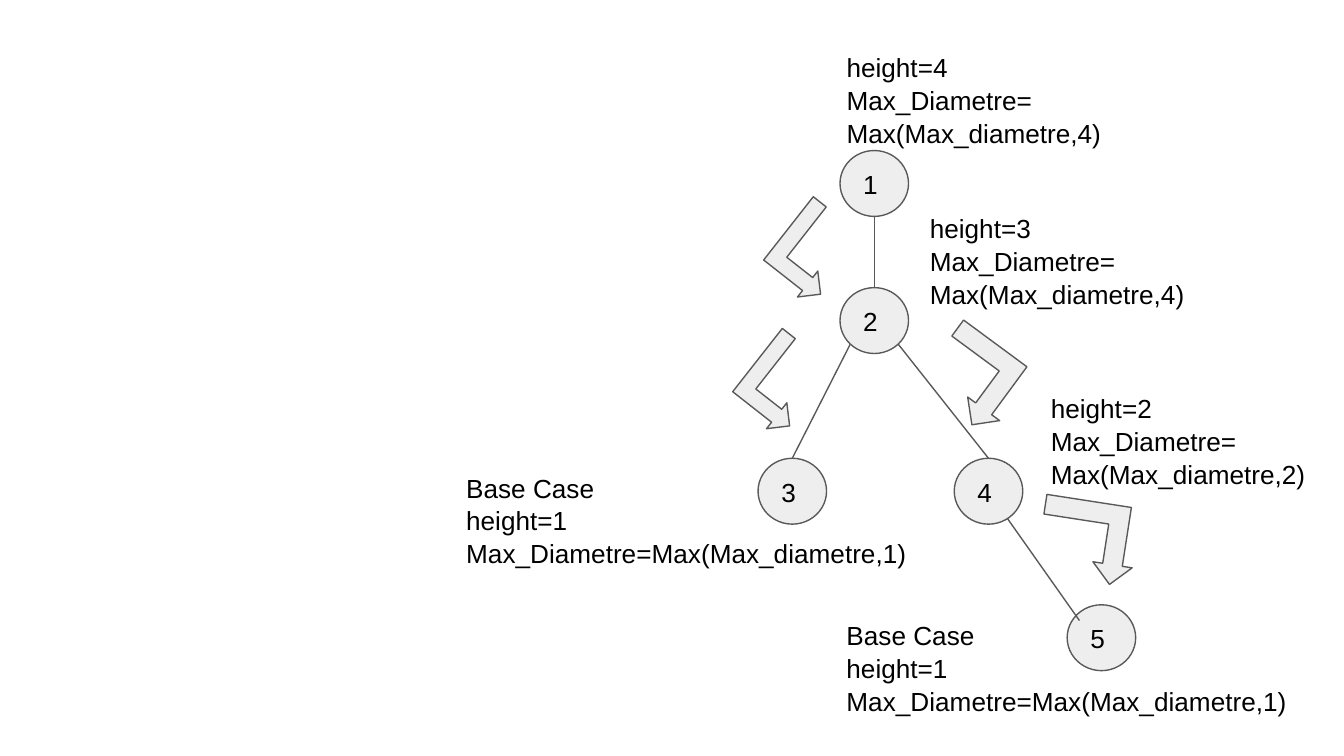
from pptx import Presentation
from pptx.dml.color import RGBColor
from pptx.enum.shapes import MSO_CONNECTOR, MSO_SHAPE
from pptx.enum.text import MSO_ANCHOR, PP_ALIGN
from pptx.oxml.ns import qn
from pptx.util import Inches, Pt
from lxml.etree import SubElement

COLORS = {"fill": "EEEEEE", "line": "595959", "text": "000000"}
FONT = {"name": "Arial", "size": Pt(14)}
PARA = {"alignment": PP_ALIGN.LEFT, "line_spacing": 1.05}
PAD = Inches(0.1)
FRAME = {"word_wrap": True, "margin_left": PAD, "margin_right": PAD,
         "margin_top": PAD, "margin_bottom": PAD}

# The slide is a grid of 100 columns; rows are as high as columns are wide
COLS, ROWS = 100, 56.25
CELL = Inches(10) / COLS
NODE_W, NODE_H = 5.1, 4.9

# Tree nodes: left column and top row
NODES = {"1": (62.5, 11.2), "2": (62.5, 21.4), "3": (56.4, 34.1),
         "4": (71, 34.1), "5": (79.4, 45)}

# Edges: two nodes, and the end points as shares of each node's box
TOP, BOTTOM = (0.5, 0), (0.5, 1)
EDGES = [("1", "2", BOTTOM, TOP),
         ("2", "3", (0.15, 0.86), TOP),
         ("2", "4", (0.85, 0.86), TOP),
         ("4", "5", (0.78, 0.92), (0.18, 0.24))]

# Call arrows: box, turn, mirrored
ARROWS = [((57.1, 16.3, 6.6, 4.9), 128.1, False),
          ((54.8, 26.1, 6.6, 4.9), 128.1, False),
          ((69.3, 25.2, 6.6, 5.9), 216.4, True),
          ((77.4, 37.3, 7.1, 5.9), 188.8, True)]

# Labels: box, height, value compared, base case
LABELS = [((62, 2.7, 30.1, 9.3), 4, 4, False),
          ((68.2, 14.7, 75, 8.8), 3, 4, False),
          ((77.2, 28.1, 75, 8.8), 2, 2, False),
          ((33.7, 34, 35.8, 5.2), 1, 1, True),
          ((62, 45, 36.3, 8.8), 1, 1, True)]


def grid(*cells):
    return [round(n * CELL) for n in cells]


def color(key):
    return RGBColor.from_string(COLORS[key])


def apply(item, values):
    for key, value in values.items():
        setattr(item, key, value)


def write(frame, lines):
    apply(frame, FRAME)
    for i, line in enumerate(lines):
        para = frame.paragraphs[0] if i == 0 else frame.add_paragraph()
        apply(para, PARA)
        run = para.add_run()
        run.text = line
        apply(run.font, FONT)
        run.font.color.rgb = color("text")


def stroke(item):
    item.line.color.rgb = color("line")
    item.line.width = Pt(0.75)


def add_form(slide, kind, box):
    form = slide.shapes.add_shape(kind, *grid(*box))
    form.shadow.inherit = False
    form.fill.solid()
    form.fill.fore_color.rgb = color("fill")
    stroke(form)
    return form


def add_node(slide, name):
    node = add_form(slide, MSO_SHAPE.OVAL, (*NODES[name], NODE_W, NODE_H))
    write(node.text_frame, [name])
    node.text_frame.vertical_anchor = MSO_ANCHOR.MIDDLE


def spot(name, share):
    left, top = NODES[name]
    return grid(left + share[0] * NODE_W, top + share[1] * NODE_H)


def add_edge(slide, start, end, tail, head):
    edge = slide.shapes.add_connector(
        MSO_CONNECTOR.STRAIGHT, *spot(start, tail), *spot(end, head))
    stroke(edge)
    SubElement(edge._element.spPr, qn("a:effectLst"))


def add_arrow(slide, box, turn, mirror):
    arrow = add_form(slide, MSO_SHAPE.BENT_UP_ARROW, box)
    arrow.rotation = turn
    if mirror:
        arrow._element.spPr.xfrm.set("flipH", "1")


def add_label(slide, box, height, value, base):
    label = slide.shapes.add_textbox(*grid(*box))
    left, right = "Max_Diametre=", f"Max(Max_diametre,{value})"
    first = f"height={height}"
    if base:
        lines = ["Base Case", first, left + right]
    else:
        lines = [first, left, right]
    write(label.text_frame, lines)


def main():
    deck = Presentation()
    deck.slide_width, deck.slide_height = grid(COLS, ROWS)
    slide = deck.slides.add_slide(deck.slide_layouts[6])

    # Tree
    for name in NODES:
        add_node(slide, name)
    for edge in EDGES:
        add_edge(slide, *edge)

    # Recursive calls and their results
    for arrow in ARROWS:
        add_arrow(slide, *arrow)
    for label in LABELS:
        add_label(slide, *label)

    deck.save("out.pptx")


if __name__ == "__main__":
    main()
